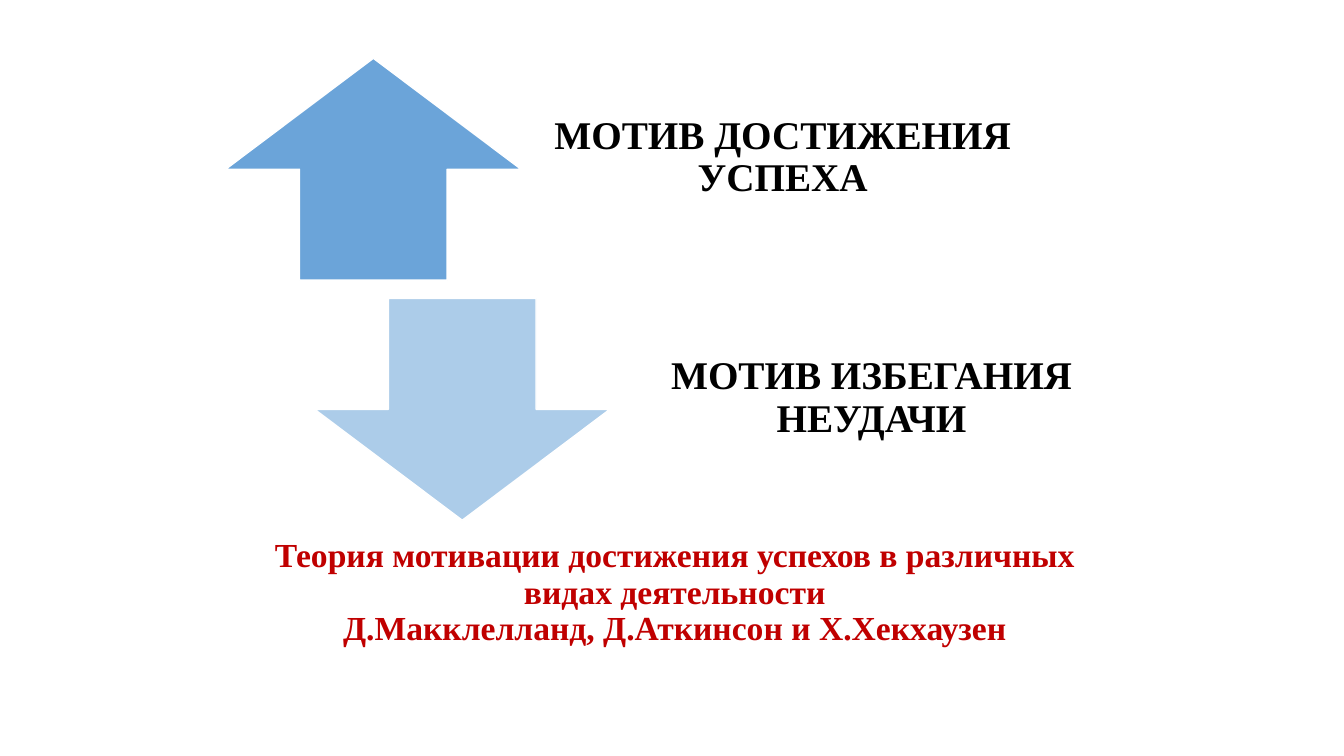
from copy import deepcopy

from lxml.etree import SubElement
from pptx import Presentation
from pptx.dml.color import RGBColor
from pptx.enum.shapes import MSO_SHAPE as Shape
from pptx.enum.text import MSO_ANCHOR as Anchor, MSO_AUTO_SIZE as AutoSize, PP_ALIGN as Align
from pptx.oxml.ns import qn
from pptx.util import Cm, Pt

BLUE = RGBColor(0x5B, 0x9B, 0xD5)
RED = RGBColor(0xC0, 0x00, 0x00)
BLACK = RGBColor(0x00, 0x00, 0x00)
WHITE = RGBColor(0xFF, 0xFF, 0xFF)


class MotivePage:
    """Holds the text style and the current slide."""

    font_name = "Times New Roman"
    line_spacing = 0.9

    def __init__(self, deck):
        self.page = deck.slides.add_slide(deck.slide_layouts[5])

    def set_text(self, box, text, size, color, space_after=0):
        frame = box.text_frame
        frame.word_wrap = True
        frame.auto_size = AutoSize.NONE
        frame.vertical_anchor = Anchor.MIDDLE
        frame.text = text
        para = frame.paragraphs[0]
        para.alignment = Align.CENTER
        para.line_spacing = self.line_spacing
        para.space_after = Pt(space_after)
        for span in para.runs:
            span.font.name = self.font_name
            span.font.size = Pt(size)
            span.font.bold = True
            span.font.color.rgb = color
        # Line breaks take the size of the text around them
        run_style = para.runs[0]._r.find(qn("a:rPr"))
        for line_break in para._p.findall(qn("a:br")):
            line_break.insert(0, deepcopy(run_style))

    def title(self, text, left, top, width, height):
        box = self.page.shapes.title
        box.left, box.top, box.width, box.height = Cm(left), Cm(top), Cm(width), Cm(height)
        self.set_text(box, text, 24, RED)

    def arrow(self, kind, opacity, left, top, width, height):
        arrow = self.page.shapes.add_shape(kind, Cm(left), Cm(top), Cm(width), Cm(height))
        arrow.shadow.inherit = False
        arrow.fill.solid()
        arrow.fill.fore_color.rgb = BLUE
        color = arrow.element.spPr.find(qn("a:solidFill"))[0]
        SubElement(color, qn("a:alpha"), val=str(opacity * 1000))
        arrow.line.color.rgb = WHITE
        arrow.line.width = Pt(1)

    def label(self, text, left, top, width, height):
        box = self.page.shapes.add_textbox(Cm(left), Cm(top), Cm(width), Cm(height))
        frame = box.text_frame
        frame.margin_left = frame.margin_right = frame.margin_bottom = Cm(0.56)
        frame.margin_top = 0
        self.set_text(box, text, 28, BLACK, space_after=9.8)


def main():
    deck = Presentation()
    deck.slide_width, deck.slide_height = Cm(33.87), Cm(19.05)
    page = MotivePage(deck)

    # Theory and its authors
    page.title(
        "Теория мотивации достижения успехов в различных видах деятельности\v"
        "Д.Макклелланд, Д.Аткинсон и Х.Хекхаузен",
        5.64, 13.13, 22.73, 3.63)

    # Two opposite motives, each row stepped down and to the right
    motives = [
        (Shape.UP_ARROW, 90, "МОТИВ ДОСТИЖЕНИЯ УСПЕХА"),
        (Shape.DOWN_ARROW, 50, "МОТИВ ИЗБЕГАНИЯ НЕУДАЧИ"),
    ]
    arrow_width, label_width, height, gap = 7.44, 12.73, 5.59, 0.23
    for row, (kind, opacity, text) in enumerate(motives):
        left, top = 5.69 + 2.24 * row, 1.47 + 6.05 * row
        page.arrow(kind, opacity, left, top, arrow_width, height)
        page.label(text, left + arrow_width + gap, top, label_width, height)

    deck.save("out.pptx")


if __name__ == "__main__":
    main()
